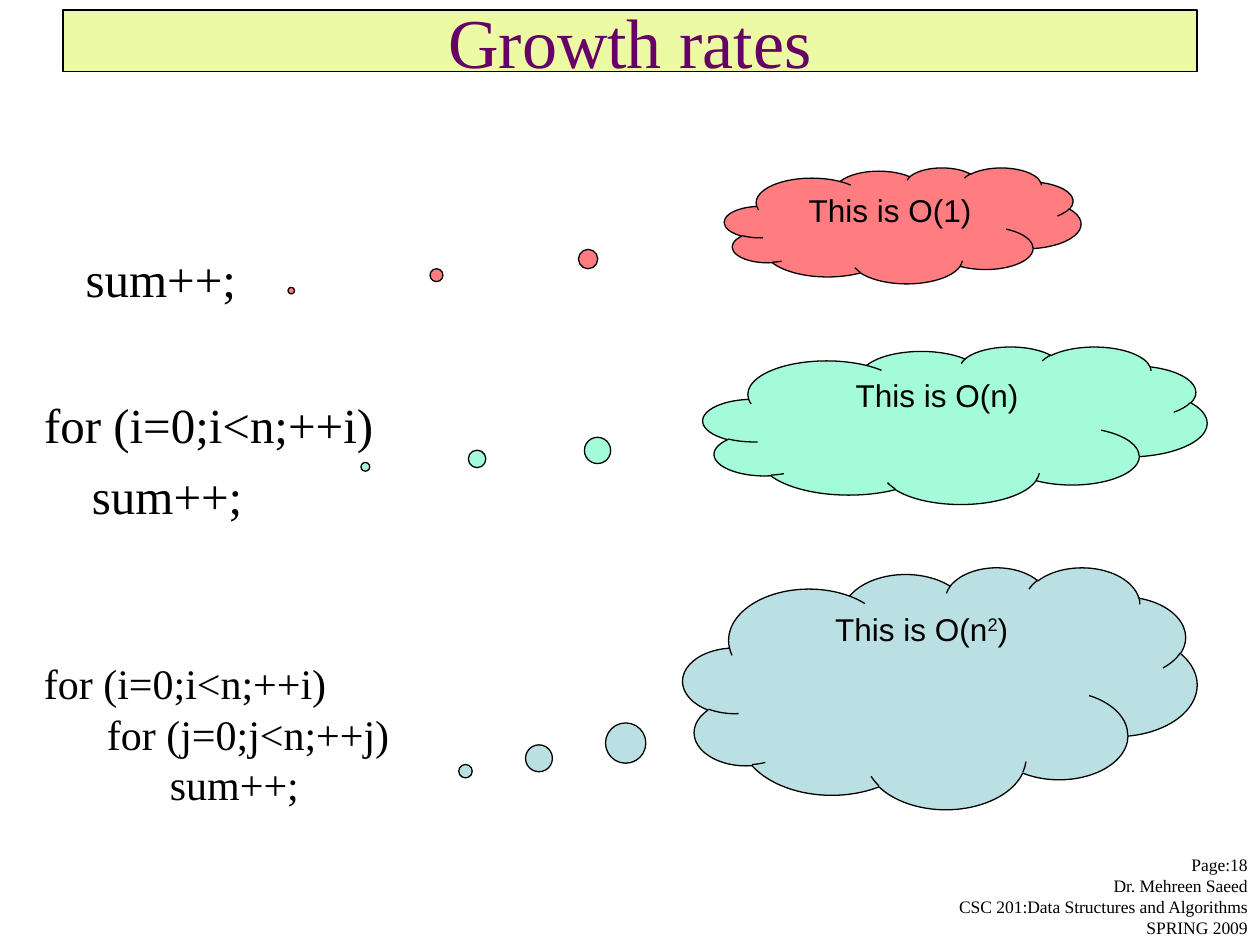
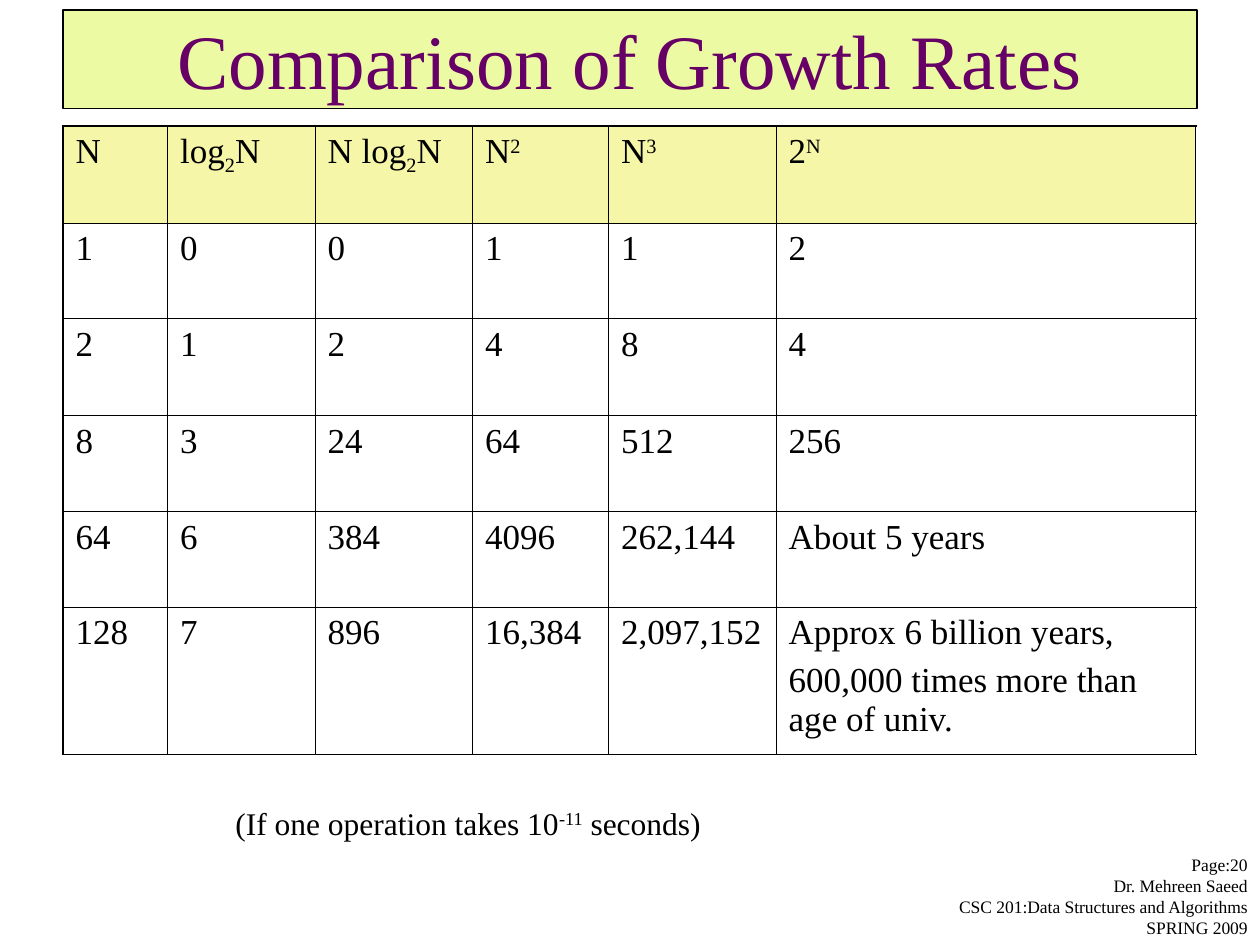
from lxml import etree
from pptx import Presentation
from pptx.dml.color import RGBColor
from pptx.enum.shapes import MSO_SHAPE as Shape
from pptx.enum.text import MSO_ANCHOR as Anchor, MSO_AUTO_SIZE as AutoSize, PP_ALIGN as Align
from pptx.oxml.ns import qn
from pptx.util import Inches, Pt

COLORS = {
    "ink": "000000", "title": "660066", "band": "ECFBA3", "header": "F6F6A8",
    "red": "FF7C80", "green": "A3FBD9", "blue": "BBE0E3",
}
SERIF, SANS = "Times New Roman", "Arial"
SUPER, SUB = 30, -25

# Content: a paragraph is a string or a tuple of runs; a raised or lowered run is (text, baseline)
COURSE_LINES = ["Dr. Mehreen Saeed", "CSC 201:Data Structures and Algorithms", "SPRING 2009"]

CODE_BODIES = [
    ((0.58, 1.92, 4.42, 0.92), ["sum++;"]),
    ((0.25, 3.08, 4.42, 1.42), ["for (i=0;i<n;++i)", "\tsum++;"]),
]
NESTED_LOOPS = ["for (i=0;i<n;++i)", "\tfor (j=0;j<n;++j)", "\t\tsum++;"]

# Cloud place, tail position, colour, label
CLOUDS = [
    ((5.75, 1.33, 2.83, 0.92), (-1.715, 0.562), "red", "This is O(1)"),
    ((5.42, 4.5, 4.08, 1.92), (-0.923, 0.344), "blue", ("This is O(n", ("2", SUPER), ")")),
    ((5.58, 2.75, 4, 1.25), (-1.17, 0.264), "green", "This is O(n)"),
]

COLUMN_WIDTHS = [0.83, 1.17, 1.25, 1.08, 1.33, 3.33]
ROW_HEIGHTS = [0.77, 0.76, 0.77, 0.76, 0.76, 1.17]
GROWTH_TABLE = [
    ["N", ("log", ("2", SUB), "N"), ("N log", ("2", SUB), "N"),
     ("N", ("2", SUPER)), ("N", ("3", SUPER)), ("2", ("N", SUPER))],
    ["1", "0", "0", "1", "1", "2"],
    ["2", "1", "2", "4", "8", "4"],
    ["8", "3", "24", "64", "512", "256"],
    ["64", "6", "384", "4096", "262,144", "About 5 years"],
    ["128", "7", "896", "16,384", "2,097,152",
     ["Approx 6 billion years,", "600,000 times more than age of univ."]],
]
ASSUMPTION = ("(If one operation takes 10", ("-11", SUPER), " seconds)")


def rgb(name):
    return RGBColor.from_string(COLORS[name])


def box(place):
    return [Inches(length) for length in place]


def add_hanging_indent(paragraph):
    """Hang the first line, drop the bullet and set a tab stop every inch."""
    properties = paragraph._p.get_or_add_pPr()
    properties.set("marL", str(Inches(0.38)))
    properties.set("indent", str(-Inches(0.38)))
    etree.SubElement(properties, qn("a:buNone"))
    tabs = etree.SubElement(properties, qn("a:tabLst"))
    for inch in range(8):
        etree.SubElement(tabs, qn("a:tab"), pos=str(Inches(inch)), algn="l")


def write(frame, paragraphs, size, font=SERIF, color="ink", align=Align.LEFT, gap=0, hanging=False):
    for number, runs in enumerate(paragraphs):
        paragraph = frame.add_paragraph() if number else frame.paragraphs[0]
        if hanging:
            add_hanging_indent(paragraph)
        paragraph.alignment = align
        paragraph.space_before = Pt(gap if number else 0)
        for item in (runs,) if isinstance(runs, str) else runs:
            text, baseline = (item, 0) if isinstance(item, str) else item
            run = paragraph.add_run()
            run.text = text
            run.font.size, run.font.name = Pt(size), font
            run.font.color.rgb = rgb(color)
            if baseline:
                run._r.get_or_add_rPr().set("baseline", str(baseline * 1000))


def paint(shape, color):
    shape.fill.solid()
    shape.fill.fore_color.rgb = rgb(color)
    shape.line.color.rgb = rgb("ink")
    shape.line.width = Pt(0.75)


def place_placeholder(shape, place, anchor):
    shape.left, shape.top, shape.width, shape.height = box(place)
    frame = shape.text_frame
    frame.auto_size, frame.vertical_anchor = AutoSize.NONE, anchor
    frame.word_wrap = True
    return frame


def add_text(slide, place, paragraphs, size, align=Align.LEFT, wrap=True):
    frame = slide.shapes.add_textbox(*box(place)).text_frame
    frame.word_wrap = wrap
    write(frame, paragraphs, size, align=align)


def add_slide(presentation, layout, title, title_size, band_height, page):
    """Start a slide with the title band and the course footer."""
    slide = presentation.slides.add_slide(presentation.slide_layouts[layout])
    band = slide.shapes.title
    frame = place_placeholder(band, (0.5, 0.08, 9, band_height), Anchor.MIDDLE)
    paint(band, "band")
    write(frame, [title], title_size, color="title", align=Align.CENTER)
    add_text(slide, (5.33, 6.73, 4.67, 0.77), [f"Page:{page}"] + COURSE_LINES, 10, Align.RIGHT)
    return slide


def add_cloud(slide, place, tail, color, label):
    cloud = slide.shapes.add_shape(Shape.CLOUD_CALLOUT, *box(place))
    cloud.shadow.inherit = False
    cloud.adjustments[0], cloud.adjustments[1] = tail
    paint(cloud, color)
    cloud.text_frame.vertical_anchor = Anchor.TOP
    write(cloud.text_frame, [label], 18, font=SANS, align=Align.CENTER)


def set_borders(cell, widths):
    """Draw the left, right, top and bottom border, ahead of the cell's fill."""
    properties = cell._tc.get_or_add_tcPr()
    for position, (side, width) in enumerate(zip("LRTB", widths)):
        line = etree.Element(qn(f"a:ln{side}"), w=str(Pt(width)))
        fill = etree.SubElement(line, qn("a:solidFill"))
        etree.SubElement(fill, qn("a:srgbClr"), val=COLORS["ink"])
        properties.insert(position, line)


def add_growth_table(slide):
    last_row, last_column = len(ROW_HEIGHTS) - 1, len(COLUMN_WIDTHS) - 1
    table = slide.shapes.add_table(last_row + 1, last_column + 1, *box((0.5, 1, 9, 5))).table
    table.first_row = table.horz_banding = False
    for column, width in zip(table.columns, COLUMN_WIDTHS):
        column.width = Inches(width)
    for r, (row, height) in enumerate(zip(GROWTH_TABLE, ROW_HEIGHTS)):
        table.rows[r].height = Inches(height)
        for c, content in enumerate(row):
            cell = table.cell(r, c)
            if r == 0:
                cell.fill.solid()
                cell.fill.fore_color.rgb = rgb("header")
            else:
                cell.fill.background()
            write(cell.text_frame, content if isinstance(content, list) else [content], 20, gap=5)
            outer = (c == 0, c == last_column, r == 0, r == last_row)
            set_borders(cell, [1.08 if edge else 0.45 for edge in outer])


def main():
    presentation = Presentation()
    presentation.slide_width, presentation.slide_height = Inches(10), Inches(7.5)

    # Code fragments and their growth rates
    slide = add_slide(presentation, 3, "Growth rates", 40, 0.49, 18)
    for index, (place, lines) in enumerate(CODE_BODIES, start=1):
        frame = place_placeholder(slide.placeholders[index], place, Anchor.TOP)
        write(frame, lines, 28, gap=7, hanging=True)
    add_text(slide, (0.25, 5.17, 6.17, 1.91), NESTED_LOOPS, 24)
    for cloud in CLOUDS:
        add_cloud(slide, *cloud)

    # Table of growth rates
    slide = add_slide(presentation, 5, "Comparison of Growth Rates", 44, 0.78, 20)
    add_growth_table(slide)
    add_text(slide, (1.77, 6.33, 3.9, 0.4), [ASSUMPTION], 18, wrap=False)

    presentation.save("out.pptx")


if __name__ == "__main__":
    main()
